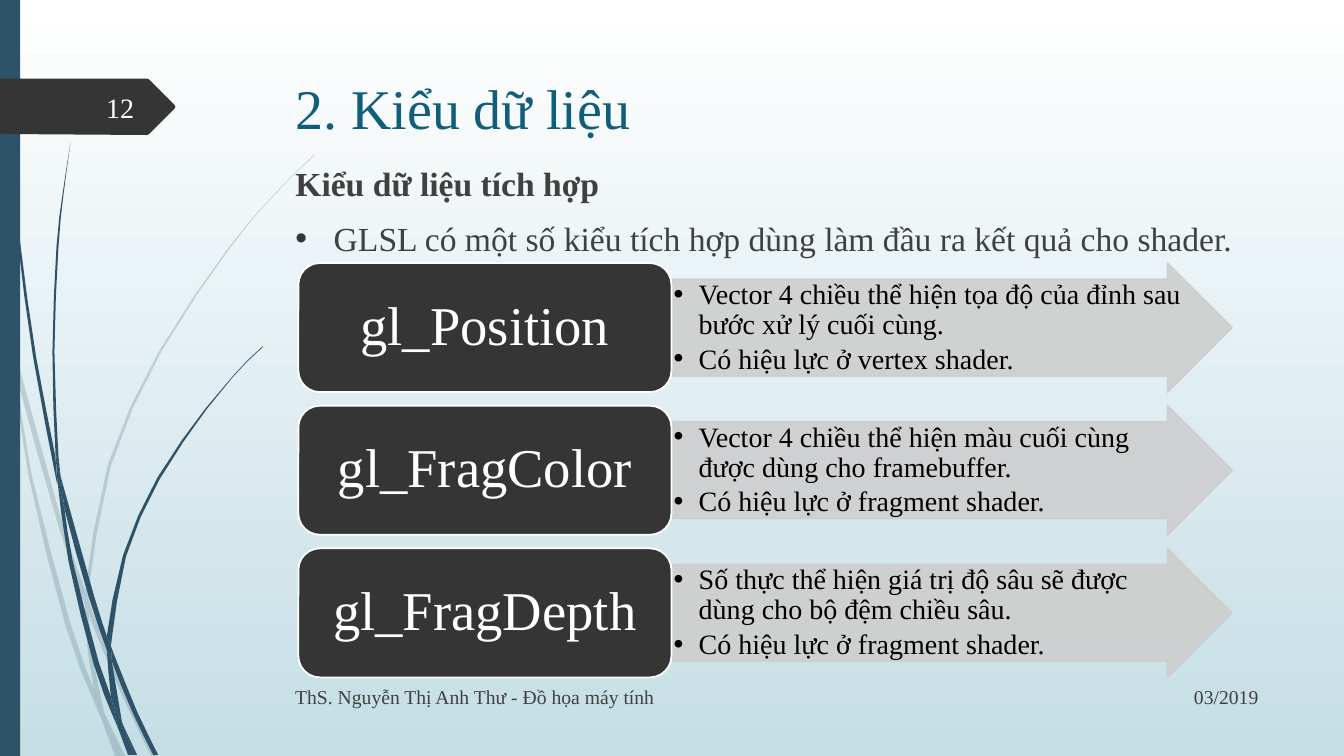
from dataclasses import dataclass

from lxml.etree import SubElement
from pptx import Presentation
from pptx.dml.color import RGBColor
from pptx.enum.shapes import MSO_SHAPE
from pptx.enum.text import MSO_ANCHOR, MSO_AUTO_SIZE, PP_ALIGN
from pptx.oxml.ns import qn
from pptx.shapes.autoshape import Shape
from pptx.slide import Slide
from pptx.text.text import TextFrame
from pptx.util import Inches, Pt

FONT = "Times New Roman"
BLUE = RGBColor(0x2E, 0x53, 0x69)
TITLE_BLUE = RGBColor(0x0F, 0x5E, 0x7C)
SKY = RGBColor(0xC5, 0xDE, 0xE5)
DARK = RGBColor(0x35, 0x35, 0x35)
GREY = RGBColor(0x40, 0x40, 0x40)
SILVER = RGBColor(0xCE, 0xCE, 0xCE)
WHITE = RGBColor(0xFF, 0xFF, 0xFF)
BLACK = RGBColor(0, 0, 0)

Point = tuple[float, float]
Edge = list[Point]


@dataclass
class Blade:
    """A piece of grass: the edge going out and the edge coming back."""
    out: Edge
    back: Edge


@dataclass
class Variable:
    name: str
    notes: list[str]


@dataclass
class Label:
    text: str
    place: tuple[float, float, float, float]
    size: int
    color: RGBColor
    align: PP_ALIGN


PALE_BLADES = [
    Blade([(0.11, 3.5), (0.09, 3.22), (0, 2.82)], [(0, 2.99), (0.1, 3.44)]),
    Blade([(0.14, 3.45), (0.17, 3.76), (0.58, 5.22), (0.84, 5.99)],
          [(0.85, 5.86), (0.62, 5.2), (0.14, 3.45)]),
    Blade([(0.88, 5.96), (0.88, 6.1), (1.23, 6.94), (1.5, 7.5)],
          [(1.55, 7.5), (1.27, 6.92), (0.92, 6.07)]),
    Blade([(1.19, 7.5), (1.24, 7.5)], [(1.05, 7.11)]),
    Blade([(0.93, 6.83), (0.7, 6.19), (0.31, 4.69), (0.17, 3.76), (0.11, 3.5)],
          [(0.11, 3.5), (0.28, 4.7), (0.65, 6.21), (0.92, 6.93), (1.01, 7.14), (0.99, 7.07)]),
    Blade([(0.84, 5.99), (0.87, 6.46), (0.93, 6.83), (0.96, 6.92), (1.05, 7.11)],
          [(1.03, 7.06), (0.91, 6.46), (0.88, 6.1)]),
    Blade([(0.88, 5.84), (1.1, 4.62), (1.6, 3.49), (2.29, 2.45), (2.68, 1.98), (2.9, 1.75),
           (3.12, 1.54)],
          [(3.12, 1.53), (2.89, 1.75), (2.68, 1.97), (2.28, 2.44), (1.58, 3.48), (1.07, 4.61),
           (0.85, 5.84), (0.88, 5.96)]),
    Blade([(1.01, 7.14), (1.14, 7.5)], [(1.19, 7.5)]),
    Blade([(0.88, 6.1), (0.88, 5.96), (0.85, 5.86)], [(0.84, 5.99), (0.88, 6.08)]),
    Blade([(0.93, 6.83), (0.99, 7.07), (1.01, 7.14), (1.19, 7.5)],
          [(1.19, 7.5), (1.05, 7.11), (0.96, 6.92)]),
]
DARK_BLADES = [
    Blade([(0.04, 0), (0.05, 0.48), (0.08, 1.09), (0.19, 2.32), (0.36, 3.55), (0.55, 4.53),
           (0.57, 4.81)],
          [(0.56, 4.77), (0.33, 3.55), (0.17, 2.33), (0.07, 1.1), (0.04, 0.48), (0.03, 0)]),
    Blade([(0.6, 4.72), (0.64, 5.05), (0.88, 5.92), (1.06, 6.45)],
          [(1.06, 6.31), (0.93, 5.9), (0.6, 4.72)]),
    Blade([(1.1, 6.41), (1.11, 6.56), (1.32, 7.08), (1.52, 7.49)],
          [(1.57, 7.49), (1.36, 7.06), (1.13, 6.49)]),
    Blade([(1.1, 6.91), (0.98, 6.57), (0.72, 5.56), (0.64, 5.05), (0.57, 4.77)],
          [(0.57, 4.77), (0.68, 5.57), (0.93, 6.59), (1.11, 7.08), (1.17, 7.22), (1.16, 7.17)]),
    Blade([(0.6, 4.72), (0.58, 4.53), (0.54, 3.49), (0.58, 2.45), (0.63, 1.93), (0.7, 1.41)],
          [(0.7, 1.41), (0.62, 1.93), (0.56, 2.45), (0.52, 3.49), (0.55, 4.49), (0.6, 4.72)]),
    Blade([(1.33, 7.49), (1.36, 7.49)], [(1.22, 7.19)]),
    Blade([(0.57, 4.77), (0.64, 5.05)], [(0.6, 4.72), (0.55, 4.49)]),
    Blade([(1.11, 6.33), (1.25, 5.52), (1.58, 4.76), (2.05, 4.06), (2.31, 3.74), (2.45, 3.59),
           (2.61, 3.44)],
          [(2.6, 3.44), (2.45, 3.58), (2.31, 3.73), (2.04, 4.05), (1.56, 4.74), (1.22, 5.51),
           (1.06, 6.31), (1.1, 6.41)]),
    Blade([(1.17, 7.22), (1.27, 7.49)], [(1.31, 7.49)]),
    Blade([(1.06, 6.45), (1.1, 6.91), (1.16, 7.06), (1.22, 7.19)],
          [(1.21, 7.16), (1.11, 6.56)]),
    Blade([(1.06, 6.45), (1.11, 6.56)], [(1.1, 6.41), (1.06, 6.31)]),
    Blade([(1.1, 6.91), (1.16, 7.17), (1.17, 7.22), (1.3, 7.49)],
          [(1.33, 7.49), (1.22, 7.19), (1.16, 7.06)]),
]
BADGE = [(0, 0.78), (1.46, 0.78), (1.48, 0.79), (1.73, 1.04), (1.74, 1.06), (1.73, 1.08),
         (1.48, 1.33), (1.46, 1.34), (0, 1.33)]
VARIABLES = [
    Variable("gl_Position", ["Vector 4 chiều thể hiện tọa độ của đỉnh sau bước xử lý cuối cùng.",
                             "Có hiệu lực ở vertex shader."]),
    Variable("gl_FragColor", ["Vector 4 chiều thể hiện màu cuối cùng được dùng cho framebuffer.",
                              "Có hiệu lực ở fragment shader."]),
    Variable("gl_FragDepth", ["Số thực thể hiện giá trị độ sâu sẽ được dùng cho bộ đệm chiều sâu.",
                              "Có hiệu lực ở fragment shader."]),
]
LABELS = [
    Label("03/2019", (11.33, 6.71, 1.25, 0.41), 14, GREY, PP_ALIGN.RIGHT),
    Label("ThS. Nguyễn Thị Anh Thư - Đồ họa máy tính", (2.83, 6.71, 8.33, 0.4), 14, GREY,
          PP_ALIGN.LEFT),
    Label("12", (0.58, 0.86, 0.85, 0.4), 20, WHITE, PP_ALIGN.RIGHT),
]


def smooth(edge: Edge) -> Edge:
    """Add a point of the Catmull-Rom curve halfway along each long step of the edge."""
    ends = [edge[0], *edge, edge[-1]]
    curve = [edge[0]]
    for a, b, c, d in zip(ends, ends[1:], ends[2:], ends[3:]):
        if abs(c[1] - b[1]) > 0.4:
            curve.append(tuple((9 * (q + r) - p - s) / 16 for p, q, r, s in zip(a, b, c, d)))
        curve.append(c)
    return curve


def paint(shape: Shape, color: RGBColor, line: RGBColor | None = None, opacity: int = 100) -> None:
    shape.shadow.inherit = False
    shape.fill.solid()
    shape.fill.fore_color.rgb = color
    if line is None:
        shape.line.fill.background()
    else:
        shape.line.color.rgb = line
        shape.line.width = Pt(1.25)
    if opacity < 100:
        for tint in shape.element.spPr.iter(qn("a:srgbClr")):
            SubElement(tint, qn("a:alpha"), val=str(opacity * 1000))


def draw_outline(slide: Slide, points: Edge, color: RGBColor, opacity: int = 100) -> None:
    corners = [(Inches(x), Inches(y)) for x, y in points]
    builder = slide.shapes.build_freeform(*corners[0])
    builder.add_line_segments(corners[1:], close=True)
    paint(builder.convert_to_shape(), color, opacity=opacity)


def format_frame(frame: TextFrame, anchor: MSO_ANCHOR, margins: tuple = (0.1, 0.05, 0.1, 0.05)) -> None:
    values = {"word_wrap": True, "auto_size": MSO_AUTO_SIZE.NONE, "vertical_anchor": anchor}
    values |= {f"margin_{side}": Inches(margin)
               for side, margin in zip(("left", "top", "right", "bottom"), margins)}
    for name, value in values.items():
        setattr(frame, name, value)


def write(frame: TextFrame, index: int, text: str, size: float, color: RGBColor, indent: float = 0,
          bullet: RGBColor | None = None, bold: bool = False, **layout) -> None:
    """Write one paragraph; layout holds paragraph attributes."""
    para = frame.paragraphs[0] if index == 0 else frame.add_paragraph()
    properties = para._p.get_or_add_pPr()
    properties.set("marL", str(Inches(indent)))
    properties.set("indent", str(-Inches(indent)))
    if bullet is None:
        SubElement(properties, qn("a:buNone"))
    else:
        SubElement(SubElement(properties, qn("a:buClr")), qn("a:srgbClr"), val=str(bullet))
        SubElement(properties, qn("a:buFont"), typeface="Arial")
        SubElement(properties, qn("a:buChar"), char="•")
    for name, value in layout.items():
        setattr(para, name, value)
    span = para.add_run()
    span.text = text
    for name, value in {"name": FONT, "size": Pt(size), "bold": bold}.items():
        setattr(span.font, name, value)
    span.font.color.rgb = color


def draw_variable(slide: Slide, variable: Variable, top: float) -> None:
    height = Inches(1.28)
    arrow = slide.shapes.add_shape(MSO_SHAPE.RIGHT_ARROW, Inches(6.67), Inches(top), Inches(5.55), height)
    arrow.adjustments[0], arrow.adjustments[1] = 0.75, 0.5
    paint(arrow, SILVER, SILVER, 90)
    format_frame(arrow.text_frame, MSO_ANCHOR.TOP, (0.01, 0.01, 0.01, 0.01))
    for index, note in enumerate(variable.notes):
        write(arrow.text_frame, index, note, 20, BLACK, 0.25, BLACK, level=1, line_spacing=0.9,
              space_after=Pt(3), alignment=PP_ALIGN.LEFT)
    box = slide.shapes.add_shape(MSO_SHAPE.ROUNDED_RECTANGLE, Inches(2.96), Inches(top), Inches(3.7), height)
    paint(box, DARK, WHITE)
    format_frame(box.text_frame, MSO_ANCHOR.MIDDLE, (0.16, 0.08, 0.16, 0.08))
    write(box.text_frame, 0, variable.name, 39, WHITE, line_spacing=0.9, alignment=PP_ALIGN.CENTER)


def place_placeholder(slide: Slide, index: int, place: tuple, anchor: MSO_ANCHOR) -> TextFrame:
    """Move a placeholder, bring it to the front and return its text frame."""
    holder = slide.placeholders[index]
    for name, value in zip(("left", "top", "width", "height"), place):
        setattr(holder, name, Inches(value))
    slide.shapes.element.append(holder.element)
    format_frame(holder.text_frame, anchor)
    return holder.text_frame


def main() -> None:
    deck = Presentation()
    deck.slide_width, deck.slide_height = Inches(13.33), Inches(7.5)
    page = deck.slides.add_slide(deck.slide_layouts[1])
    backdrop = page.background.fill
    backdrop.gradient()
    backdrop.gradient_angle = 270
    for stop, color, position in zip(backdrop.gradient_stops, (WHITE, SKY), (0, 1)):
        stop.color.rgb = color
        stop.position = position

    for blades, opacity in ((PALE_BLADES, 20), (DARK_BLADES, 100)):
        for blade in blades:
            draw_outline(page, smooth(blade.out) + smooth(blade.back), BLUE, opacity)
    band = page.shapes.add_shape(MSO_SHAPE.RECTANGLE, 0, 0, Inches(0.2), Inches(7.5))
    paint(band, BLUE)
    draw_outline(page, BADGE, DARK)

    title = place_placeholder(page, 0, (2.83, 0.66, 9.75, 0.81), MSO_ANCHOR.MIDDLE)
    write(title, 0, "2. Kiểu dữ liệu", 40, TITLE_BLUE, alignment=PP_ALIGN.JUSTIFY)
    body = place_placeholder(page, 1, (2.83, 1.57, 9.75, 5.05), MSO_ANCHOR.TOP)
    write(body, 0, "Kiểu dữ liệu tích hợp", 24, GREY, bold=True, alignment=PP_ALIGN.JUSTIFY,
          space_before=Pt(0))
    write(body, 1, "GLSL có một số kiểu tích hợp dùng làm đầu ra kết quả cho shader.", 24, GREY,
          0.38, DARK, alignment=PP_ALIGN.JUSTIFY, space_before=Pt(10))
    for label in LABELS:
        box = page.shapes.add_textbox(*map(Inches, label.place))
        format_frame(box.text_frame, MSO_ANCHOR.MIDDLE)
        write(box.text_frame, 0, label.text, label.size, label.color, alignment=label.align)
    for row, variable in enumerate(VARIABLES):
        draw_variable(page, variable, 2.61 + row * 1.415)
    deck.save("out.pptx")


if __name__ == "__main__":
    main()
